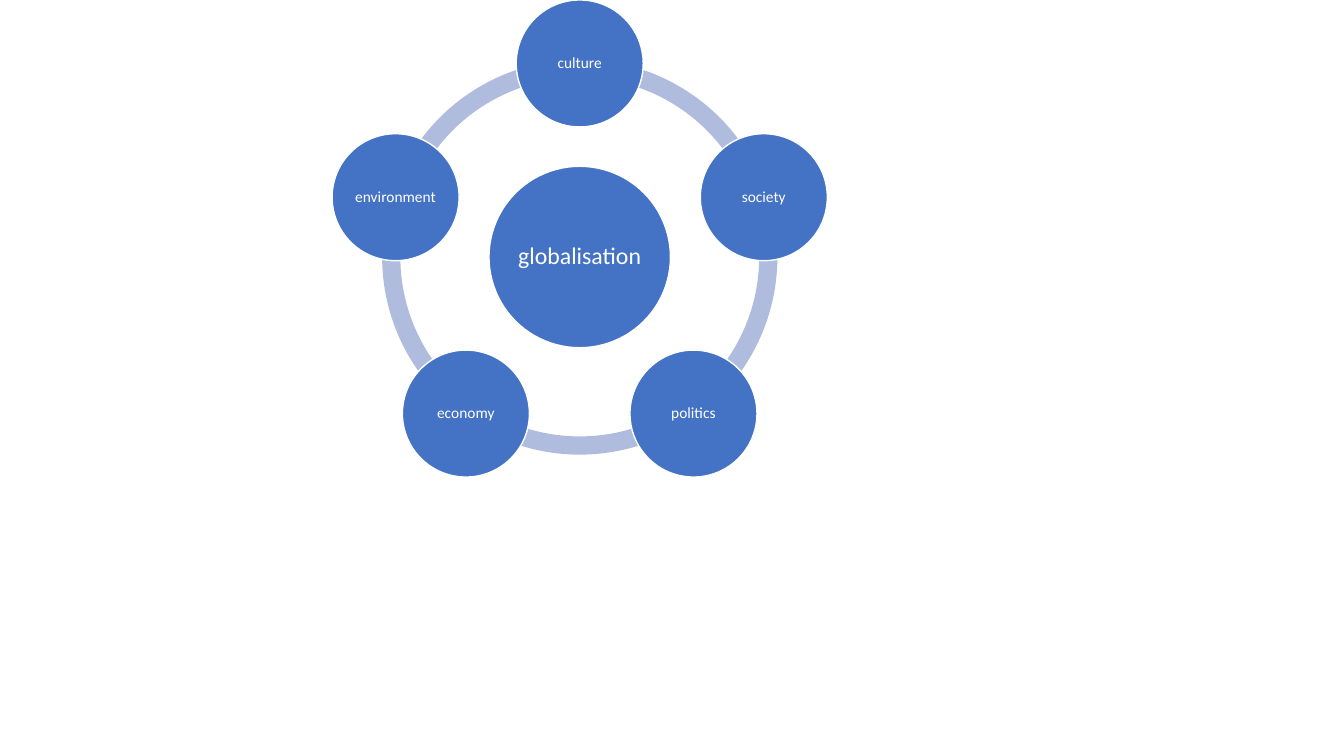
"""Build a slide with a radial cycle of globalisation themes."""
from math import cos, radians, sin

from pptx import Presentation
from pptx.dml.color import RGBColor
from pptx.enum.shapes import MSO_SHAPE as Shape
from pptx.enum.text import MSO_ANCHOR as Anchor, PP_ALIGN as Align
from pptx.util import Inches, Pt

BLUE = RGBColor(0x44, 0x72, 0xC4)
PALE_BLUE = RGBColor(0xB0, 0xBC, 0xDE)
WHITE = RGBColor(0xFF, 0xFF, 0xFF)

THEMES = ["culture", "society", "politics", "economy", "environment"]
CENTER_X, CENTER_Y = 5.75, 2.55
ORBIT = 1.92
RING_SIZE, HUB_SIZE, THEME_SIZE = 3.92, 1.8, 1.26
RING_THICKNESS = 0.046
STEP = 360 / len(THEMES)
TOP_ANGLE = 270
ANGLE_UNIT = 0.6


def add_centered(slide, kind, x, y, size, fill):
    """Add a square-bounded shape centred on a point."""
    shape = slide.shapes.add_shape(
        kind, Inches(x - size / 2), Inches(y - size / 2), Inches(size), Inches(size)
    )
    shape.shadow.inherit = False
    shape.fill.solid()
    shape.fill.fore_color.rgb = fill
    return shape


def add_ring_arc(slide, start):
    """Add the part of the ring that runs one step clockwise from start."""
    arc = add_centered(slide, Shape.BLOCK_ARC, CENTER_X, CENTER_Y, RING_SIZE, PALE_BLUE)
    arc.line.fill.background()
    arc.adjustments[0] = start % 360 * ANGLE_UNIT
    arc.adjustments[1] = (start + STEP) % 360 * ANGLE_UNIT
    arc.adjustments[2] = RING_THICKNESS


def write_text(shape, text, size, font="Calibri", color=WHITE):
    """Write one centred paragraph into a shape."""
    frame = shape.text_frame
    frame.word_wrap = True
    frame.vertical_anchor = Anchor.MIDDLE
    frame.margin_left = frame.margin_right = Inches(0.02)
    frame.margin_top = frame.margin_bottom = Inches(0.02)
    para = frame.paragraphs[0]
    para.alignment = Align.CENTER
    para.line_spacing = 0.9
    span = para.add_run()
    span.text = text
    span.font.name = font
    span.font.size = Pt(size)
    span.font.color.rgb = color


def add_circle(slide, text, x, y, size, font_size):
    """Add a labelled circle with a white outline."""
    circle = add_centered(slide, Shape.OVAL, x, y, size, BLUE)
    circle.line.color.rgb = WHITE
    circle.line.width = Pt(1)
    write_text(circle, text, size=font_size)


def main():
    """Build and save the deck."""
    deck = Presentation()
    deck.slide_width, deck.slide_height = Inches(13.33), Inches(7.5)
    page = deck.slides.add_slide(deck.slide_layouts.get_by_name("Blank"))
    angles = [TOP_ANGLE + STEP * index for index in range(len(THEMES))]
    for angle in angles:
        add_ring_arc(page, angle)
    add_circle(page, "globalisation", CENTER_X, CENTER_Y, HUB_SIZE, font_size=17)
    for theme, angle in zip(THEMES, angles):
        x = CENTER_X + ORBIT * cos(radians(angle))
        y = CENTER_Y + ORBIT * sin(radians(angle))
        add_circle(page, theme, x, y, THEME_SIZE, font_size=11)
    deck.save("out.pptx")


if __name__ == "__main__":
    main()
